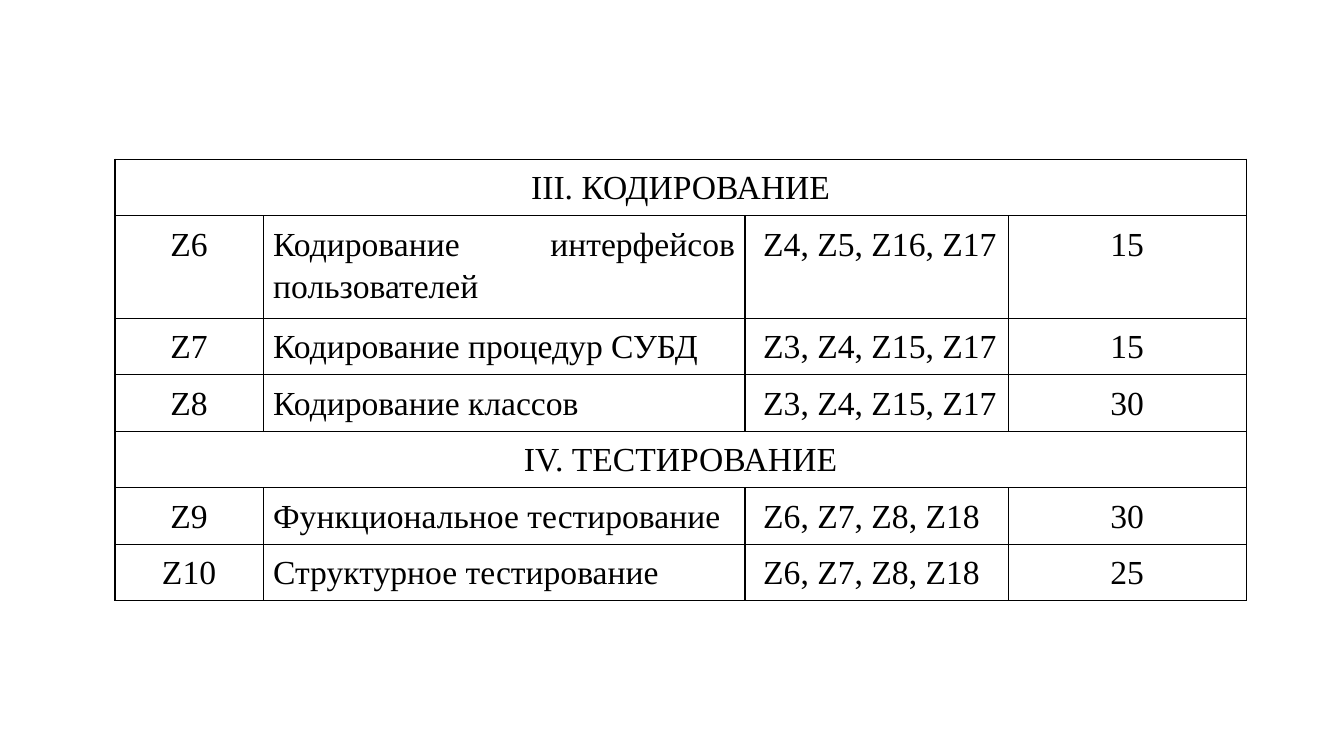
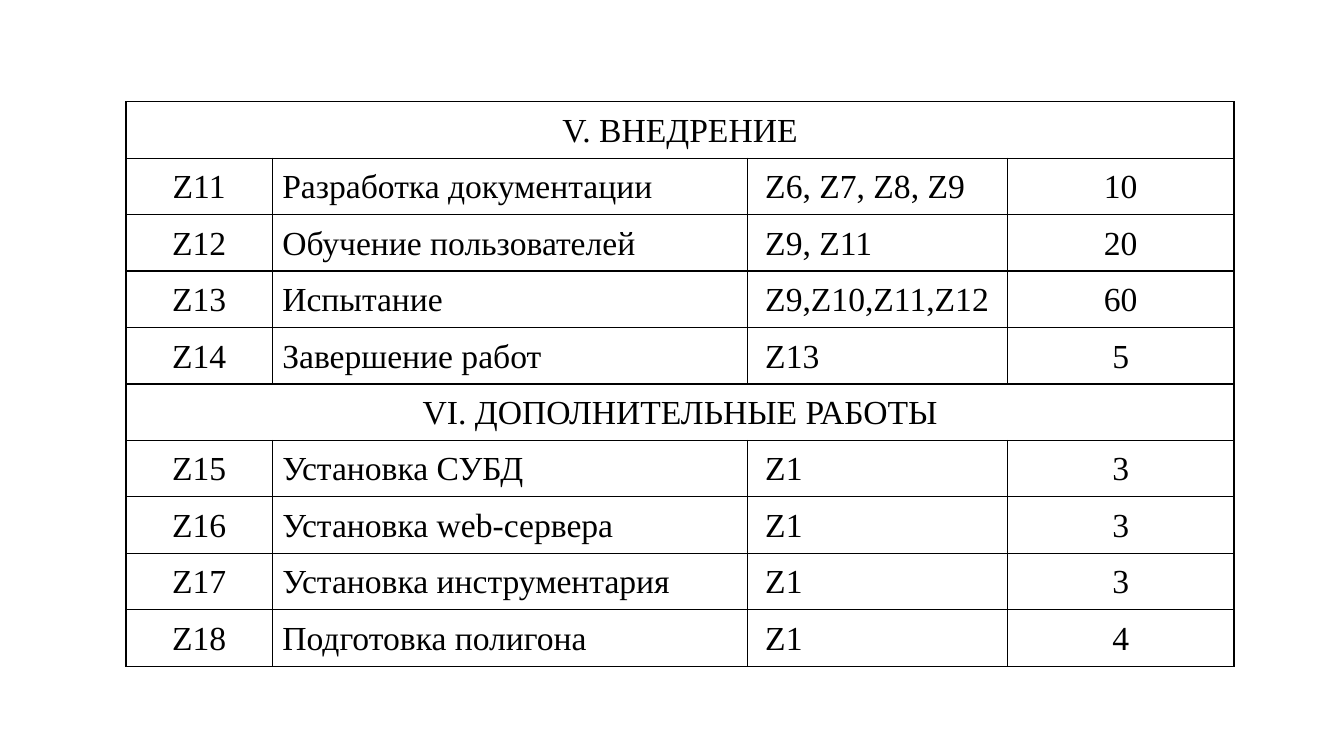
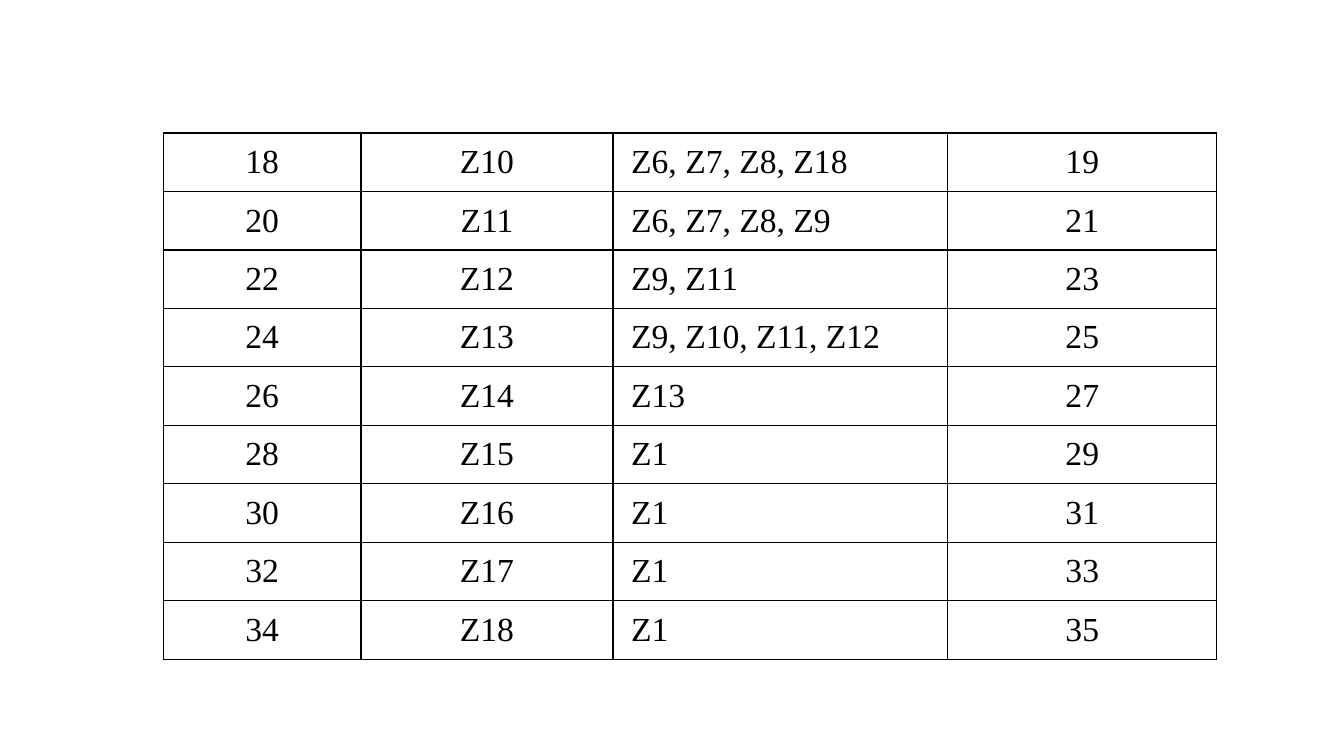
from dataclasses import dataclass

from lxml import etree
from pptx import Presentation
from pptx import util as u
from pptx.dml.color import RGBColor
from pptx.enum import text
from pptx.oxml import ns

CENTER = text.PP_ALIGN.CENTER
JUSTIFY = text.PP_ALIGN.JUSTIFY


@dataclass(frozen=True)
class Theme:
    font: str = "Times New Roman"
    size: int = 24
    line_spacing: float = 1.15
    ink: str = "000000"
    paper: str = "FFFFFF"
    border_width: float = 0.96
    margin: float = 0.1
    links_margin: float = 0.18


class TableDeck:
    def __init__(self, theme):
        self.theme = theme
        self.deck = Presentation()
        self.deck.slide_width = u.Inches(13.33)
        self.deck.slide_height = u.Inches(7.5)
        self.slide = None

    def add_slide(self):
        self.slide = self.deck.slides.add_slide(self.deck.slide_layouts[6])

    def add_table(self, left, top, widths, heights, rows, alignments):
        """Draw the rows; a row given as a plain string spans all columns."""
        frame = self.slide.shapes.add_table(
            len(rows), len(widths), u.Inches(left), u.Inches(top),
            u.Inches(sum(widths)), u.Inches(sum(heights)))
        table = frame.table
        table.first_row = table.horz_banding = False
        for column, width in zip(table.columns, widths):
            column.width = u.Inches(width)
        for index, (row, height) in enumerate(zip(rows, heights)):
            table.rows[index].height = u.Inches(height)
            cells = list(table.rows[index].cells)
            for cell in cells:
                self.style_cell(cell)
            if isinstance(row, str):
                cells[0].merge(cells[-1])
                self.fill_text(cells[0], row, CENTER)
                continue
            # The third column lists preceding tasks, set in a little.
            cells[2].margin_left = u.Inches(self.theme.links_margin)
            for cell, words, alignment in zip(cells, row, alignments):
                self.fill_text(cell, words, alignment)

    def style_cell(self, cell):
        theme = self.theme
        cell.margin_left = cell.margin_right = u.Inches(theme.margin)
        cell.fill.solid()
        cell.fill.fore_color.rgb = RGBColor.from_string(theme.paper)
        properties = cell._tc.get_or_add_tcPr()
        for position, side in enumerate(("lnL", "lnR", "lnT", "lnB")):
            line = etree.Element(ns.qn(f"a:{side}"), w=str(u.Pt(theme.border_width)))
            fill = etree.SubElement(line, ns.qn("a:solidFill"))
            etree.SubElement(fill, ns.qn("a:srgbClr"), val=theme.ink)
            properties.insert(position, line)

    def fill_text(self, cell, words, alignment):
        para = cell.text_frame.paragraphs[0]
        para.alignment = alignment
        para.line_spacing = self.theme.line_spacing
        span = para.add_run()
        span.text = words
        span.font.name = self.theme.font
        span.font.size = u.Pt(self.theme.size)
        span.font.color.rgb = RGBColor.from_string(self.theme.ink)


TASK_ALIGNMENTS = (CENTER, JUSTIFY, JUSTIFY, CENTER)
EVENT_ALIGNMENTS = (CENTER, CENTER, JUSTIFY, CENTER)
TASK_ROW = 0.56
TWO_LINE_ROW = 1.02
EVENT_ROW = 0.58

CODING_AND_TESTING = [
    "III. КОДИРОВАНИЕ",
    ("Z6", "Кодирование интерфейсов пользователей", "Z4, Z5, Z16, Z17", "15"),
    ("Z7", "Кодирование процедур СУБД", "Z3, Z4, Z15, Z17", "15"),
    ("Z8", "Кодирование классов", "Z3, Z4, Z15, Z17", "30"),
    "IV. ТЕСТИРОВАНИЕ",
    ("Z9", "Функциональное тестирование", "Z6, Z7, Z8, Z18", "30"),
    ("Z10", "Структурное тестирование", "Z6, Z7, Z8, Z18", "25"),
]

ROLLOUT_AND_EXTRAS = [
    "V. ВНЕДРЕНИЕ",
    ("Z11", "Разработка документации", "Z6, Z7, Z8, Z9", "10"),
    ("Z12", "Обучение пользователей", "Z9, Z11", "20"),
    ("Z13", "Испытание", "Z9,Z10,Z11,Z12", "60"),
    ("Z14", "Завершение работ", "Z13", "5"),
    "VI. ДОПОЛНИТЕЛЬНЫЕ РАБОТЫ",
    ("Z15", "Установка СУБД", "Z1", "3"),
    ("Z16", "Установка web-сервера", "Z1", "3"),
    ("Z17", "Установка инструментария", "Z1", "3"),
    ("Z18", "Подготовка полигона", "Z1", "4"),
]

# Preceding tasks of Z10 to Z18; start and end events are numbered in pairs.
PRECEDING = ["Z6, Z7, Z8, Z18", "Z6, Z7, Z8, Z9", "Z9, Z11",
             "Z9, Z10, Z11, Z12", "Z13"] + ["Z1"] * 4
EVENTS = [(str(18 + 2 * i), f"Z{10 + i}", links, str(19 + 2 * i))
          for i, links in enumerate(PRECEDING)]


def main():
    builder = TableDeck(Theme())

    builder.add_slide()
    builder.add_table(1.14, 1.58, (1.47, 4.78, 2.61, 2.36),
                      [TASK_ROW, TWO_LINE_ROW] + [TASK_ROW] * 5,
                      CODING_AND_TESTING, TASK_ALIGNMENTS)

    builder.add_slide()
    builder.add_table(1.25, 1.01, (1.45, 4.71, 2.58, 2.25),
                      [TASK_ROW] * len(ROLLOUT_AND_EXTRAS),
                      ROLLOUT_AND_EXTRAS, TASK_ALIGNMENTS)

    builder.add_slide()
    builder.add_table(1.62, 1.32, (1.96, 2.5, 3.32, 2.67),
                      [EVENT_ROW] * len(EVENTS), EVENTS, EVENT_ALIGNMENTS)

    builder.deck.save("out.pptx")


if __name__ == "__main__":
    main()
